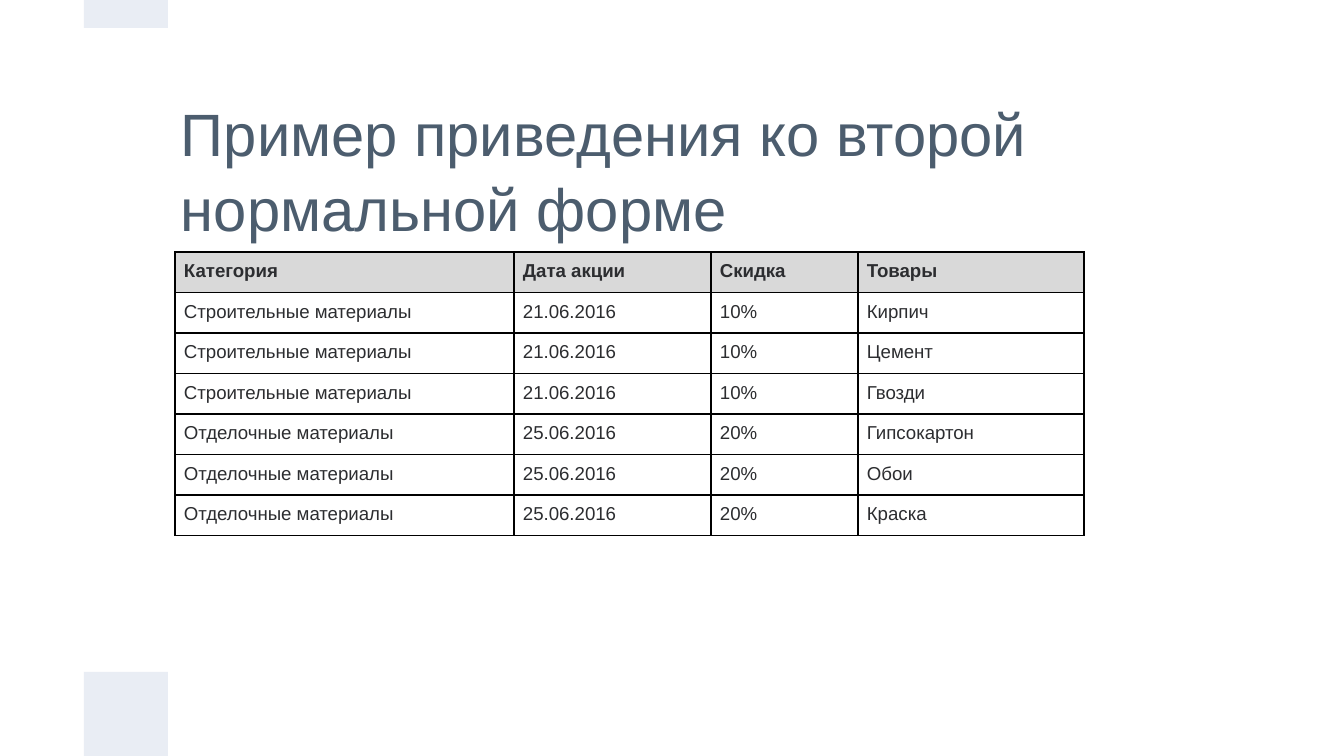
from pptx import Presentation
from pptx.dml.color import RGBColor
from pptx.enum.shapes import MSO_SHAPE
from pptx.enum.text import MSO_ANCHOR
from pptx.oxml import parse_xml
from pptx.oxml.ns import nsdecls
from pptx.util import Pt

SCALE = 914400 / 134.4
COLORS = {
    "title": "4C5D6E",
    "body": "2C2D30",
    "accent": "E9EDF4",
    "header": "D9D9D9",
    "cell": "FFFFFF",
    "border": "000000",
}


def px(length):
    return round(length * SCALE)


def rgb(name):
    return RGBColor.from_string(COLORS[name])


class SlideBuilder:
    """Draws styled elements on the current slide."""

    font_name = "Arial"

    def __init__(self, slide):
        self.slide = slide

    def style(self, paragraph, size, color, bold=False):
        font = paragraph.font
        font.name, font.size, font.bold = self.font_name, Pt(size), bold
        font.color.rgb = rgb(color)

    def inset(self, target, margin):
        target.margin_left = target.margin_right = px(margin)
        target.margin_top = target.margin_bottom = px(margin)

    def title(self, text, left, top, width, height):
        frame = self.slide.shapes.add_textbox(
            px(left), px(top), px(width), px(height)).text_frame
        frame.word_wrap = True
        frame.vertical_anchor = MSO_ANCHOR.MIDDLE
        self.inset(frame, 13)
        paragraph = frame.paragraphs[0]
        paragraph.text = text
        paragraph.line_spacing = 1.05
        self.style(paragraph, 32, "title")

    def block(self, left, top, width, height):
        block = self.slide.shapes.add_shape(
            MSO_SHAPE.RECTANGLE, px(left), px(top), px(width), px(height))
        block.shadow.inherit = False
        block.fill.solid()
        block.fill.fore_color.rgb = rgb("accent")
        block.line.fill.background()

    def borders(self, cell):
        properties = cell._tc.get_or_add_tcPr()
        for index, side in enumerate(("lnL", "lnR", "lnT", "lnB")):
            properties.insert(index, parse_xml(
                f'<a:{side} {nsdecls("a")} w="{Pt(1)}"><a:solidFill>'
                f'<a:srgbClr val="{COLORS["border"]}"/></a:solidFill></a:{side}>'))

    def table(self, rows, left, top, widths, row_height):
        table = self.slide.shapes.add_table(
            len(rows), len(widths), px(left), px(top),
            px(sum(widths)), px(row_height * len(rows))).table
        for column, width in zip(table.columns, widths):
            column.width = px(width)
        for row_index, row in enumerate(rows):
            is_header = row_index == 0
            for column_index, text in enumerate(row):
                cell = table.cell(row_index, column_index)
                self.inset(cell, 9)
                cell.fill.solid()
                cell.fill.fore_color.rgb = rgb("header" if is_header else "cell")
                self.borders(cell)
                paragraph = cell.text_frame.paragraphs[0]
                paragraph.text = text
                self.style(paragraph, 10, "body", is_header)


presentation = Presentation()
presentation.slide_width, presentation.slide_height = px(1344), px(756)
builder = SlideBuilder(presentation.slides.add_slide(presentation.slide_layouts[6]))

builder.title("Пример приведения ко второй нормальной форме", 168, 84, 1008, 168)
builder.block(84, 672, 84, 84)
builder.block(84, 0, 84, 28)

promotions = [
    ("Строительные материалы", "21.06.2016", "10%", ("Кирпич", "Цемент", "Гвозди")),
    ("Отделочные материалы", "25.06.2016", "20%", ("Гипсокартон", "Обои", "Краска")),
]
discounts = [("Категория", "Дата акции", "Скидка", "Товары")]
for category, date, discount, products in promotions:
    discounts += [(category, date, discount, product) for product in products]
builder.table(discounts, 175, 252, (339, 197, 147, 226), 39)

presentation.save("out.pptx")
